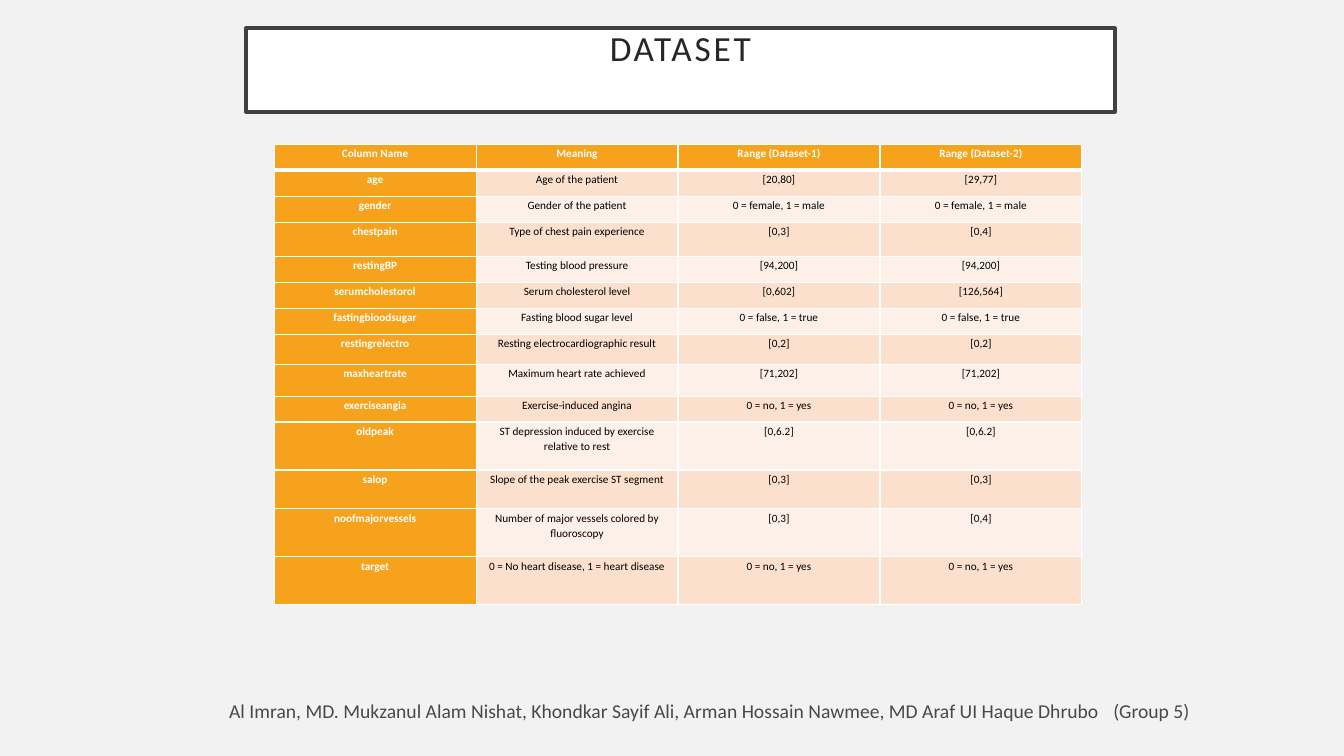
from lxml import etree
from pptx import Presentation
from pptx.dml.color import RGBColor
from pptx.enum.text import MSO_ANCHOR, PP_ALIGN
from pptx.oxml.ns import qn
from pptx.util import Inches, Pt

CENTER = PP_ALIGN.CENTER
TOP, MIDDLE = MSO_ANCHOR.TOP, MSO_ANCHOR.MIDDLE
TITLE_ONLY = 5

ORANGE, PEACH, CREAM = "F6A21D", "FBE0CD", "FDF0E8"
WHITE, BLACK, INK, FRAME, PAPER = "FFFFFF", "000000", "262626", "404040", "F2F2F2"

HEADINGS = ["Column Name", "Meaning", "Range (Dataset-1)", "Range (Dataset-2)"]
# Row height in percent of the slide, attribute, meaning, both ranges
ATTRIBUTES = [
    (3.44, "age", "Age of the patient", "[20,80]", "[29,77]"),
    (3.44, "gender", "Gender of the patient", "0 = female, 1 = male", "0 = female, 1 = male"),
    (4.5, "chestpain", "Type of chest pain experience", "[0,3]", "[0,4]"),
    (3.44, "restingBP", "Testing blood pressure", "[94,200]", "[94,200]"),
    (3.44, "serumcholestorol", "Serum cholesterol level", "[0,602]", "[126,564]"),
    (3.44, "fastingbloodsugar", "Fasting blood sugar level",
     "0 = false, 1 = true", "0 = false, 1 = true"),
    (3.97, "restingrelectro", "Resting electrocardiographic result", "[0,2]", "[0,2]"),
    (4.23, "maxheartrate", "Maximum heart rate achieved", "[71,202]", "[71,202]"),
    (3.44, "exerciseangia", "Exercise-induced angina", "0 = no, 1 = yes", "0 = no, 1 = yes"),
    (6.35, "oldpeak", "ST depression induced by exercise relative to rest",
     "[0,6.2]", "[0,6.2]"),
    (5.1, "salop", "Slope of the peak exercise ST segment", "[0,3]", "[0,3]"),
    (6.35, "noofmajorvessels", "Number of major vessels colored by fluoroscopy",
     "[0,3]", "[0,4]"),
    (6.35, "target", "0 = No heart disease, 1 = heart disease",
     "0 = no, 1 = yes", "0 = no, 1 = yes"),
]


def rgb(value):
    return RGBColor.from_string(value)


class DatasetSlide:
    """Holds the slide and its style; places are percentages of the slide."""

    font = "Calibri"

    def __init__(self, deck):
        self.width, self.height = deck.slide_width, deck.slide_height
        self.slide = deck.slides.add_slide(deck.slide_layouts[TITLE_ONLY])
        background = self.slide.background.fill
        background.solid()
        background.fore_color.rgb = rgb(PAPER)

    def across(self, percent):
        return round(self.width * percent / 100)

    def down(self, percent):
        return round(self.height * percent / 100)

    def place(self, left, top, width, height):
        return self.across(left), self.down(top), self.across(width), self.down(height)

    def run(self, paragraph, text, size, color, bold=False, tracking=0, opacity=100):
        run = paragraph.add_run()
        run.text = text
        font = run.font
        font.name, font.size, font.bold = self.font, Pt(size), bold
        font.color.rgb = rgb(color)
        properties = run._r.get_or_add_rPr()
        if tracking:
            properties.set("spc", str(round(tracking * 100)))
        if opacity < 100:
            tint = properties.find(".//" + qn("a:srgbClr"))
            etree.SubElement(tint, qn("a:alpha"), val=str(opacity * 1000))

    def title(self, text, *box):
        title = self.slide.shapes.title
        title.left, title.top, title.width, title.height = self.place(*box)
        title.fill.solid()
        title.fill.fore_color.rgb = rgb(WHITE)
        title.line.color.rgb = rgb(FRAME)
        title.line.width = Pt(2.5)
        frame = title.text_frame
        frame.word_wrap = True
        frame.vertical_anchor = TOP
        frame.margin_left = frame.margin_right = Inches(0.2)
        frame.margin_top = Inches(0.03)
        paragraph = frame.paragraphs[0]
        paragraph.alignment, paragraph.line_spacing = CENTER, 0.9
        self.run(paragraph, text, 25.2, INK, tracking=2)

    def border(self, cell, side, points):
        line = etree.SubElement(cell._tc.get_or_add_tcPr(), qn("a:ln" + side),
                                w=str(Pt(points)))
        fill = etree.SubElement(line, qn("a:solidFill"))
        etree.SubElement(fill, qn("a:srgbClr"), val=WHITE)

    def cell(self, cell, text, fill, color, bold, above, below):
        for side, points in zip("LRTB", (1, 1, above, below)):
            self.border(cell, side, points)
        cell.fill.solid()
        cell.fill.fore_color.rgb = rgb(fill)
        cell.vertical_anchor = TOP
        cell.margin_left = cell.margin_right = Inches(0.07)
        cell.margin_top = cell.margin_bottom = Inches(0.02)
        paragraph = cell.text_frame.paragraphs[0]
        paragraph.alignment, paragraph.line_spacing = CENTER, 1.07
        self.run(paragraph, text, 8, color, bold)

    def table(self, rows, heights, left, top, width):
        box = self.place(left, top, width, sum(heights))
        table = self.slide.shapes.add_table(len(rows), len(rows[0]), *box).table
        table.first_row = table.horz_banding = False
        for column in table.columns:
            column.width = self.across(width / len(rows[0]))
        for r, (texts, height) in enumerate(zip(rows, heights)):
            table.rows[r].height = self.down(height)
            for c, text in enumerate(texts):
                heading = r == 0 or c == 0
                band = PEACH if r % 2 else CREAM
                self.cell(table.cell(r, c), text, ORANGE if heading else band,
                          WHITE if heading else BLACK, heading,
                          above=3 if r == 1 else 1, below=3 if r == 0 else 1)

    def credits(self, names, group, *box):
        frame = self.slide.shapes.add_textbox(*self.place(*box)).text_frame
        frame.word_wrap = True
        frame.vertical_anchor = MIDDLE
        paragraph = frame.paragraphs[0]
        paragraph.alignment = CENTER
        # The tracked space sets the group apart from the names
        for text, tracking in ((names, 0), (" ", 6.4), (group, 0)):
            self.run(paragraph, text, 14, BLACK, tracking=tracking, opacity=70)


def main():
    deck = Presentation()
    deck.slide_width, deck.slide_height = Inches(13.33), Inches(7.5)
    page = DatasetSlide(deck)

    # Heading
    page.title("DATASET", 18.3, 3.73, 64.65, 11.07)

    # Attributes of both datasets
    rows = [HEADINGS] + [texts for _, *texts in ATTRIBUTES]
    heights = [3.44] + [height for height, *_ in ATTRIBUTES]
    page.table(rows, heights, 20.4, 19.07, 60.1)

    # Authors
    page.credits("Al Imran, MD. Mukzanul Alam Nishat, Khondkar Sayif Ali, "
                 "Arman Hossain Nawmee, MD Araf UI Haque Dhrubo", "(Group 5)",
                 13.13, 90.93, 79.3, 6.13)

    deck.save("out.pptx")


if __name__ == "__main__":
    main()
